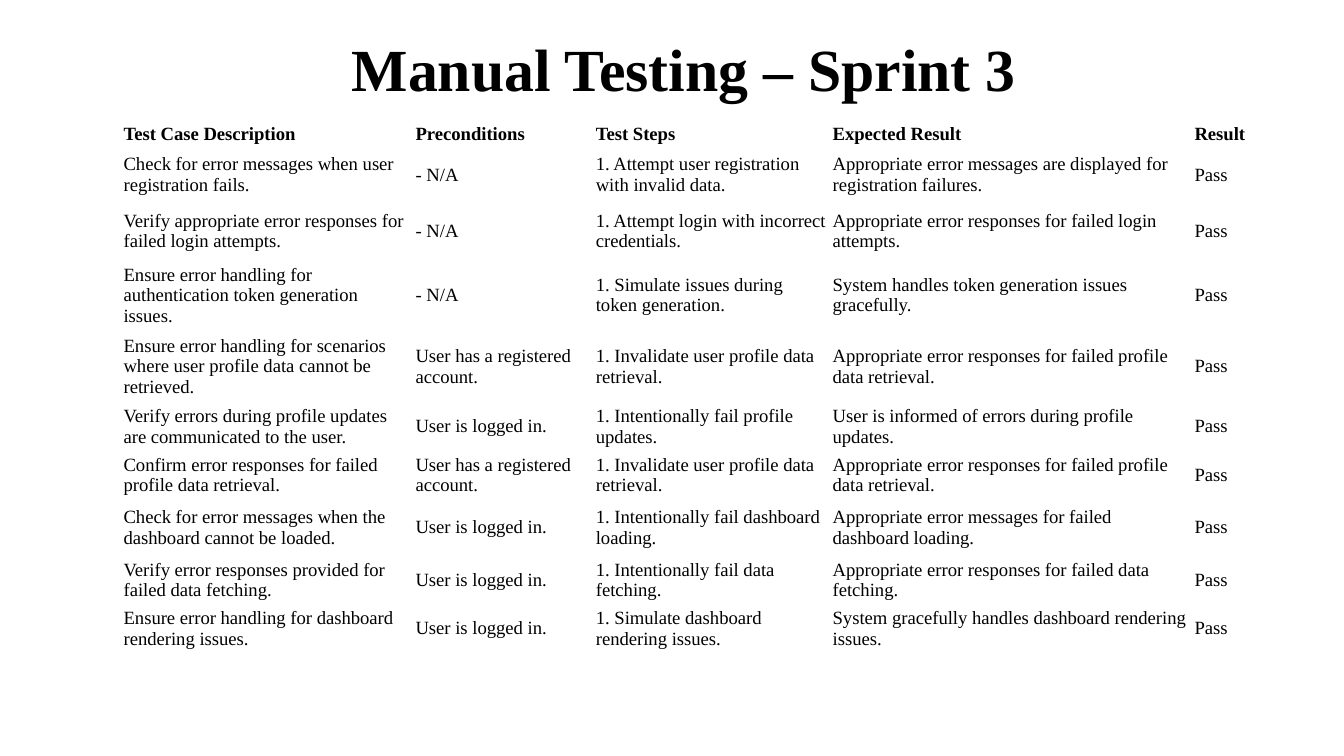
from pptx import Presentation
from pptx.dml.color import RGBColor
from pptx.enum.text import MSO_ANCHOR, MSO_AUTO_SIZE, PP_ALIGN
from pptx.util import Inches, Pt

SLIDE_SIZE = (10, 10 * 9 / 16)
TITLE_BOX = (0.59, 0.1, 9, 0.8)
TABLE_BOX = (0.9, 0.9, 8.79, 3.96)
COLUMN_SHARES = (2.17, 1.34, 1.76, 2.69, 0.82)
ROW_SHARES = (0.19, 0.42, 0.42, 0.53, 0.53, 0.36, 0.36, 0.42, 0.36, 0.36)
COLORS = {"text": "000000", "background": "FFFFFF"}
FONT_NAME = "Times New Roman"
TITLE = "Manual Testing – Sprint 3"
HEADINGS = ("Test Case Description", "Preconditions", "Test Steps", "Expected Result", "Result")
NONE, REGISTERED, LOGGED_IN = "- N/A", "User has a registered account.", "User is logged in."
TEST_CASES = (
    ("Check for error messages when user registration fails.", NONE,
     "1. Attempt user registration with invalid data.",
     "Appropriate error messages are displayed for registration failures."),
    ("Verify appropriate error responses for failed login attempts.", NONE,
     "1. Attempt login with incorrect credentials.",
     "Appropriate error responses for failed login attempts."),
    ("Ensure error handling for authentication token generation issues.", NONE,
     "1. Simulate issues during token generation.",
     "System handles token generation issues gracefully."),
    ("Ensure error handling for scenarios where user profile data cannot be retrieved.", REGISTERED,
     "1. Invalidate user profile data retrieval.",
     "Appropriate error responses for failed profile data retrieval."),
    ("Verify errors during profile updates are communicated to the user.", LOGGED_IN,
     "1. Intentionally fail profile updates.",
     "User is informed of errors during profile updates."),
    ("Confirm error responses for failed profile data retrieval.", REGISTERED,
     "1. Invalidate user profile data retrieval.",
     "Appropriate error responses for failed profile data retrieval."),
    ("Check for error messages when the dashboard cannot be loaded.", LOGGED_IN,
     "1. Intentionally fail dashboard loading.",
     "Appropriate error messages for failed dashboard loading."),
    ("Verify error responses provided for failed data fetching.", LOGGED_IN,
     "1. Intentionally fail data fetching.",
     "Appropriate error responses for failed data fetching."),
    ("Ensure error handling for dashboard rendering issues.", LOGGED_IN,
     "1. Simulate dashboard rendering issues.",
     "System gracefully handles dashboard rendering issues."),
)


def style_font(para, size, bold):
    """Give a paragraph the slide's typeface and text colour."""
    para.font.name = FONT_NAME
    para.font.size = Pt(size)
    para.font.bold = bold
    para.font.color.rgb = RGBColor.from_string(COLORS["text"])


def place_title(page, box):
    """Move the title placeholder into the box and format it."""
    title = page.shapes.title
    title.left, title.top, title.width, title.height = map(Inches, box)
    frame = title.text_frame
    frame.text = TITLE
    frame.word_wrap = True
    frame.auto_size = MSO_AUTO_SIZE.NONE
    frame.vertical_anchor = MSO_ANCHOR.MIDDLE
    para = frame.paragraphs[0]
    para.alignment = PP_ALIGN.CENTER
    style_font(para, 32, True)


def fill_cell(cell, text, bold):
    """Write one unfilled table cell with tight margins."""
    cell.text = text
    cell.fill.background()
    cell.vertical_anchor = MSO_ANCHOR.MIDDLE
    cell.margin_left = cell.margin_right = Inches(0.02)
    cell.margin_top = cell.margin_bottom = Inches(0.01)
    style_font(cell.text_frame.paragraphs[0], 10, bold)


def place_test_table(page, box):
    """Share the box among the columns and rows of the test cases."""
    left, top, width, height = map(Inches, box)
    records = (HEADINGS, *((*case, "Pass") for case in TEST_CASES))
    table = page.shapes.add_table(len(records), len(HEADINGS), left, top, width, height).table
    table.first_row = table.horz_banding = False
    for column, share in zip(table.columns, COLUMN_SHARES):
        column.width = int(width * share / sum(COLUMN_SHARES))
    for row, share in zip(table.rows, ROW_SHARES):
        row.height = int(height * share / sum(ROW_SHARES))
    for index, (row, record) in enumerate(zip(table.rows, records)):
        for cell, text in zip(row.cells, record):
            fill_cell(cell, text, index == 0)


def main():
    """Build the test report slide and save it."""
    deck = Presentation()
    deck.slide_width, deck.slide_height = map(Inches, SLIDE_SIZE)
    page = deck.slides.add_slide(deck.slide_layouts[5])
    page.background.fill.solid()
    page.background.fill.fore_color.rgb = RGBColor.from_string(COLORS["background"])
    place_title(page, TITLE_BOX)
    place_test_table(page, TABLE_BOX)
    deck.save("out.pptx")


if __name__ == "__main__":
    main()
